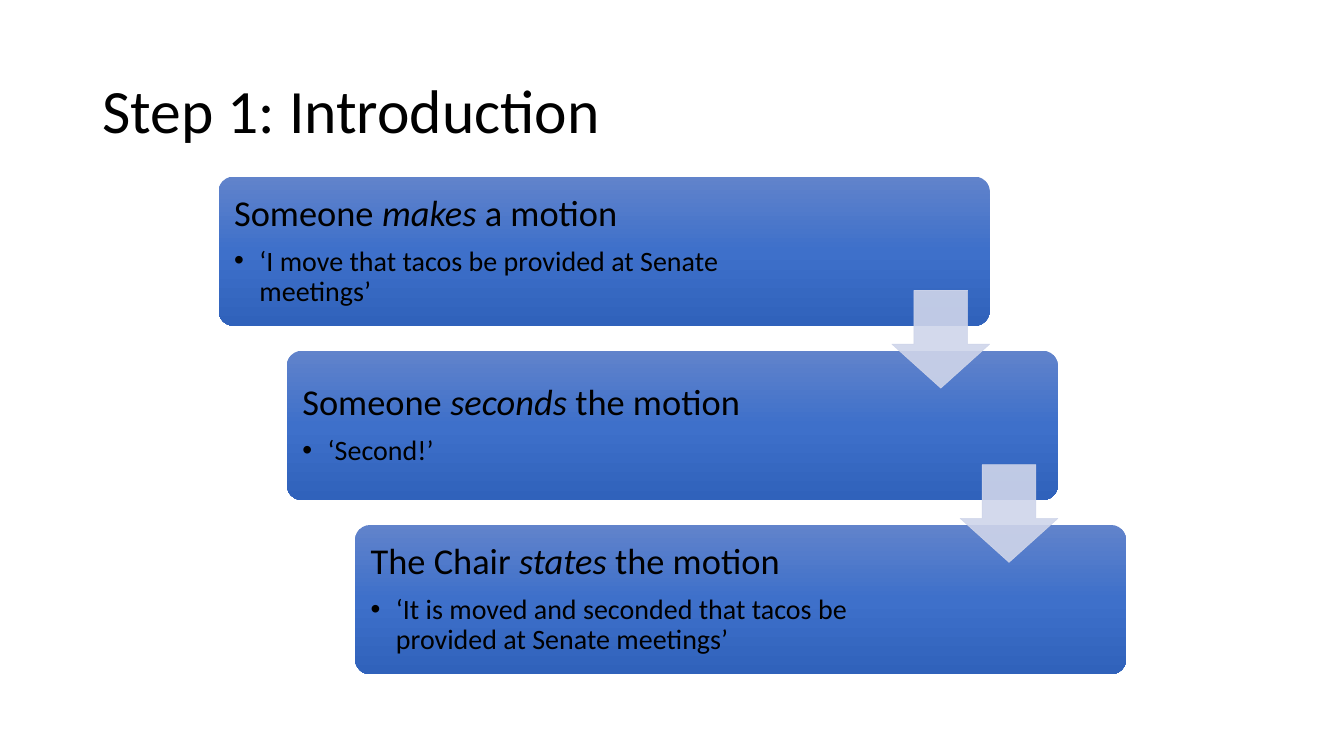
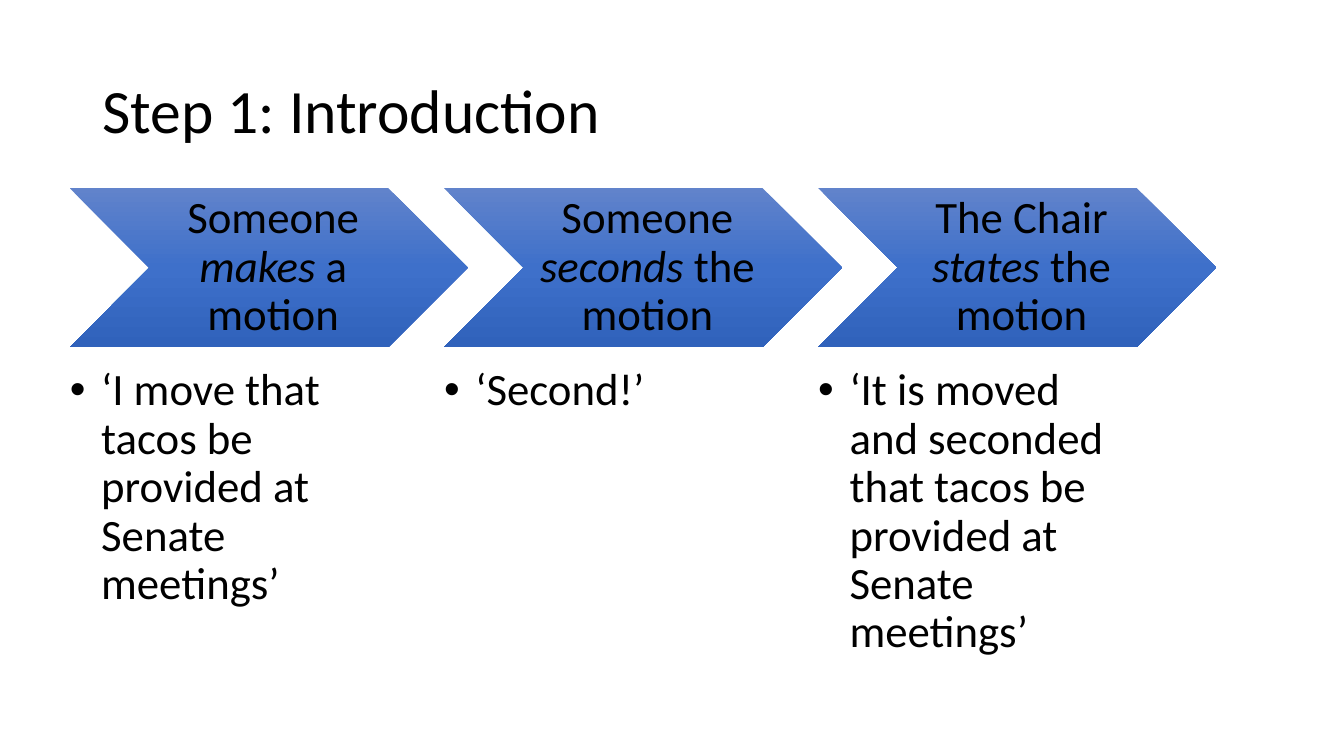
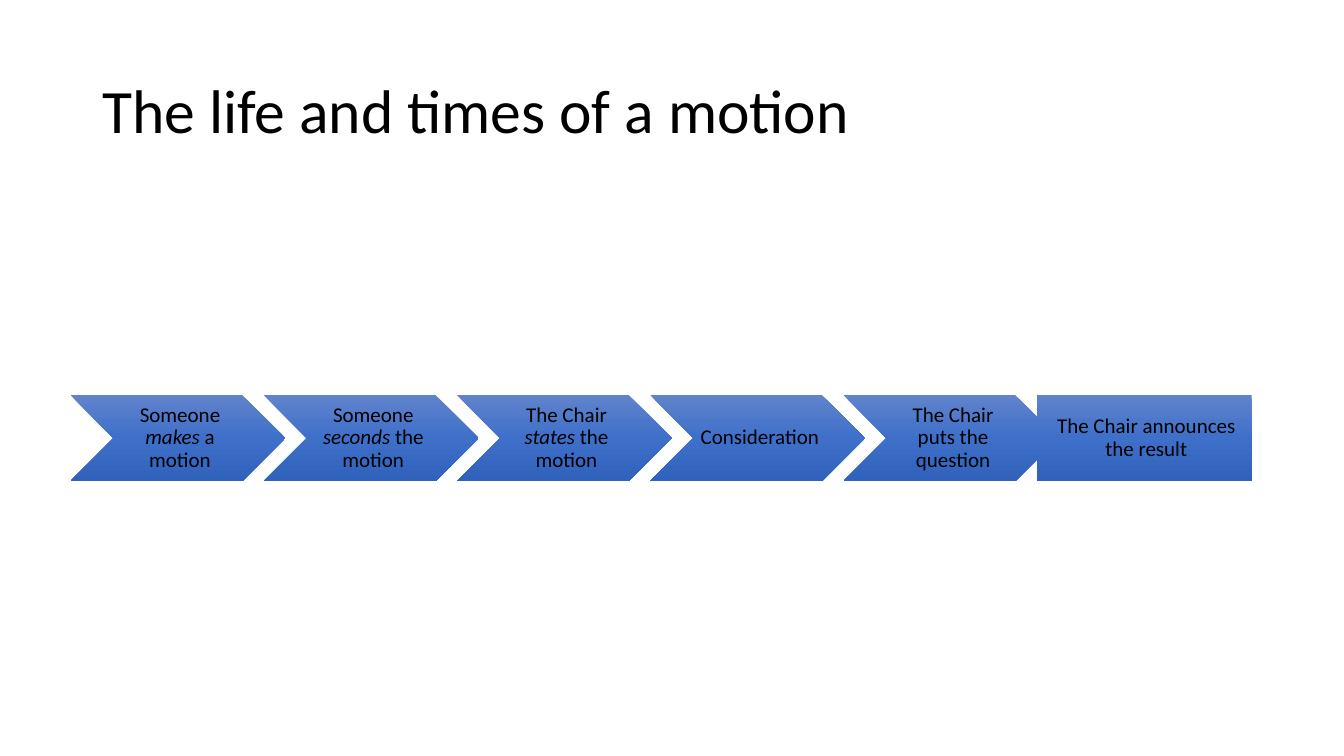
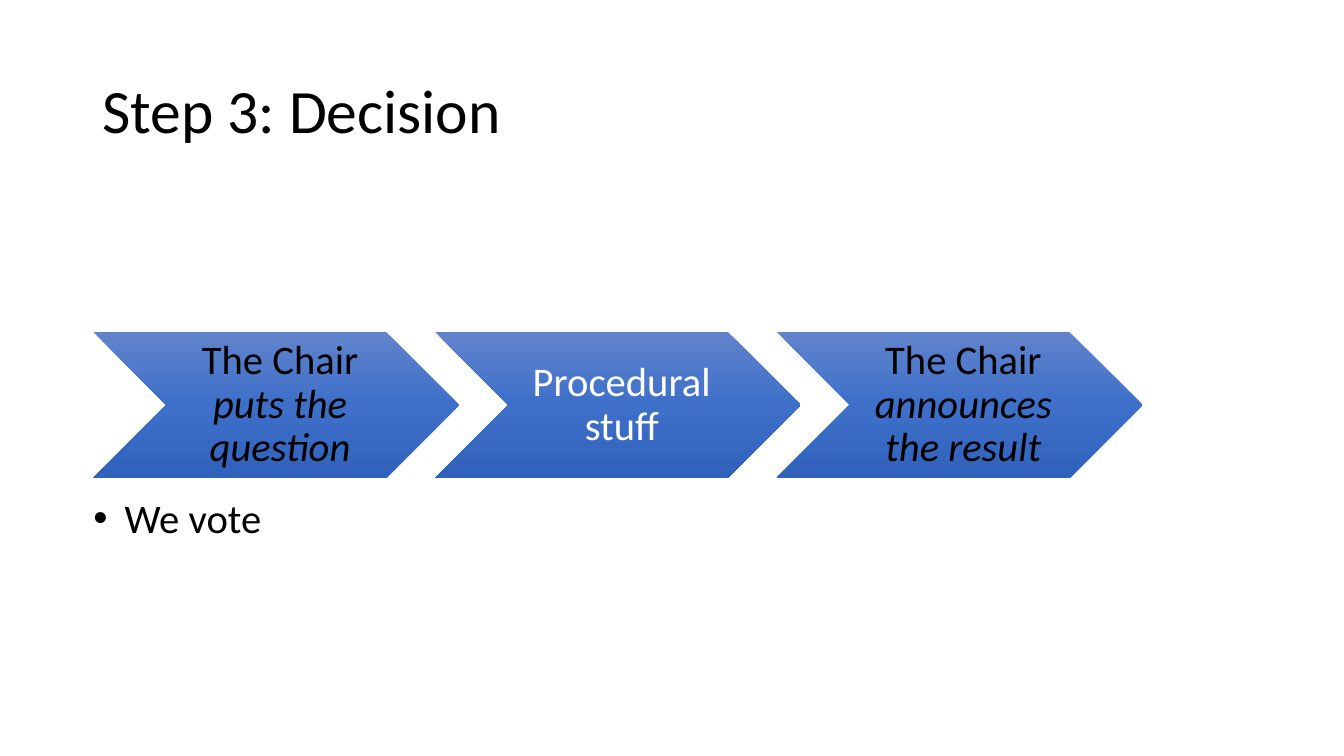
from copy import deepcopy

from lxml import etree
from pptx import Presentation
from pptx.dml.color import RGBColor
from pptx.enum import shapes, text
from pptx.oxml import ns
from pptx.util import Cm, Pt

BLACK = RGBColor(0x00, 0x00, 0x00)
WHITE = RGBColor(0xFF, 0xFF, 0xFF)
PALE_BLUE = RGBColor(0xCF, 0xD5, 0xEA)
GRADIENT = [
    (0, RGBColor(0x61, 0x83, 0xCB)),
    (0.5, RGBColor(0x3E, 0x70, 0xCA)),
    (1, RGBColor(0x30, 0x62, 0xBB)),
]
FONT = "Calibri"
SHAPE = shapes.MSO_SHAPE
LEFT, CENTER = text.PP_ALIGN.LEFT, text.PP_ALIGN.CENTER

INTRODUCTION = [
    ("Someone *makes* a motion",
     "‘I move that tacos be provided at Senate meetings’"),
    ("Someone *seconds* the motion", "‘Second!’"),
    ("The Chair *states* the motion",
     "‘It is moved and seconded that tacos be provided at Senate meetings’"),
]
LIFE_OF_MOTION = [heading for heading, _ in INTRODUCTION] + [
    "Consideration",
    "The Chair puts the question",
]
DECISION = [
    ("The Chair *puts the question*", "We vote"),
    ("Procedural stuff", None),
    ("The Chair *announces the result*", None),
]


def write(paragraph, words, size, color=BLACK, align=LEFT):
    """Fill a paragraph; words between asterisks become italic."""
    paragraph.line_spacing = 0.9
    paragraph.alignment = align
    for index, part in enumerate(words.split("*")):
        if part:
            run = paragraph.add_run()
            run.text = part
            run.font.name = FONT
            run.font.size = Pt(size)
            run.font.color.rgb = color
            run.font.italic = index % 2 == 1


def add_bullet(paragraph, indent):
    properties = paragraph._p.get_or_add_pPr()
    properties.set("marL", str(Cm(indent)))
    properties.set("indent", str(-Cm(indent)))
    etree.SubElement(properties, ns.qn("a:buFont")).set("typeface", "Arial")
    etree.SubElement(properties, ns.qn("a:buChar")).set("char", "•")


def set_frame(shape, insets, anchor=text.MSO_ANCHOR.MIDDLE):
    """Wrap the text; insets run left, top, right, bottom in cm."""
    frame = shape.text_frame
    frame.word_wrap = True
    frame.vertical_anchor = anchor
    (frame.margin_left, frame.margin_top,
     frame.margin_right, frame.margin_bottom) = map(Cm, insets)
    return frame


def add_shape(slide, kind, left, top, width, height):
    shape = slide.shapes.add_shape(
        kind, Cm(left), Cm(top), Cm(width), Cm(height))
    shape.shadow.inherit = False
    return shape


def add_gradient_shape(slide, kind, left, top, width, height):
    shape = add_shape(slide, kind, left, top, width, height)
    shape.line.fill.background()
    shape.fill.gradient()
    shape.fill.gradient_angle = 270
    stop_list = shape._element.spPr.find(".//" + ns.qn("a:gsLst"))
    stop_list.insert(1, deepcopy(stop_list[0]))
    for stop, (position, color) in zip(shape.fill.gradient_stops, GRADIENT):
        stop.position = position
        stop.color.rgb = color
    return shape


def add_step(slide, kind, left, top, width, height, words, size, color=BLACK):
    """Add a process step whose insets grow with its text size."""
    shape = add_gradient_shape(slide, kind, left, top, width, height)
    inset = 0.004 * size
    frame = set_frame(shape, (0.011 * size, inset, inset, inset))
    write(frame.paragraphs[0], words, size, color, CENTER)


def add_bullet_box(slide, left, top, width, height, words, size):
    box = slide.shapes.add_textbox(Cm(left), Cm(top), Cm(width), Cm(height))
    frame = set_frame(box, (0, 0, 0, 0), text.MSO_ANCHOR.TOP)
    write(frame.paragraphs[0], words, size)
    add_bullet(frame.paragraphs[0], 0.79)


def add_titled_slide(presentation, title):
    slide = presentation.slides.add_slide(presentation.slide_layouts[6])
    box = slide.shapes.add_textbox(Cm(2.33), Cm(1.01), Cm(29.21), Cm(3.68))
    frame = set_frame(box, (0.25, 0.13, 0.25, 0.13))
    write(frame.paragraphs[0], title, 44)
    return slide


def add_down_arrow(slide, left, top, size):
    arrow = add_shape(slide, SHAPE.DOWN_ARROW, left, top, size, size)
    arrow.adjustments[0], arrow.adjustments[1] = 0.55, 0.45
    arrow.fill.solid()
    arrow.fill.fore_color.rgb = PALE_BLUE
    arrow.line.color.rgb = PALE_BLUE
    arrow.line.width = Pt(0.5)
    for color in arrow._element.spPr.iter(ns.qn("a:srgbClr")):
        etree.SubElement(color, ns.qn("a:alpha")).set("val", "90000")


def add_staircase(slide, steps):
    left, top, width, height = 5.51, 4.45, 19.43, 3.76
    step_x, step_y, arrow_size = 1.72, 4.39, 2.46
    for index, (heading, quote) in enumerate(steps):
        box = add_gradient_shape(
            slide, SHAPE.ROUNDED_RECTANGLE,
            left + index * step_x, top + index * step_y, width, height)
        box.adjustments[0] = 0.1
        frame = set_frame(box, (0.28, 0.28, 4.4, 0.28))
        write(frame.paragraphs[0], heading, 26)
        frame.paragraphs[0].space_after = Pt(9)
        bullet = frame.add_paragraph()
        write(bullet, quote, 20)
        add_bullet(bullet, 0.64)
    for index in range(len(steps) - 1):
        add_down_arrow(slide, left + width - arrow_size + index * step_x,
                       top + 2.87 + index * step_y, arrow_size)


def add_chevrons(slide, steps, left, top, width, height, pitch, size,
                 bullet_height, white_steps=()):
    """Add a row of chevrons, each with an optional bullet below."""
    for index, (heading, bullet) in enumerate(steps):
        x = left + index * pitch
        color = WHITE if index in white_steps else BLACK
        add_step(slide, SHAPE.CHEVRON, x, top, width, height,
                 heading, size, color)
        if bullet:
            add_bullet_box(slide, x, top + height + 0.5, width - height / 2,
                           bullet_height, bullet, size)


def add_life_row(slide):
    left, top, width, height, pitch, size = 1.78, 9.96, 5.41, 2.16, 4.87, 15
    steps = [(heading, None) for heading in LIFE_OF_MOTION]
    add_chevrons(slide, steps, left, top, width, height, pitch, size, 0)
    add_step(slide, SHAPE.FLOWCHART_PROCESS, left + len(steps) * pitch, top,
             width, height, "The Chair announces the result", size)


def main():
    presentation = Presentation()
    presentation.slide_width = Cm(33.87)
    presentation.slide_height = Cm(19.05)

    slide = add_titled_slide(presentation, "Step 1: Introduction")
    add_staircase(slide, INTRODUCTION)

    slide = add_titled_slide(presentation, "Step 1: Introduction")
    add_chevrons(slide, INTRODUCTION, left=1.76, top=4.74, width=10.03,
                 height=4.01, pitch=9.43, size=32, bullet_height=7.5)

    slide = add_titled_slide(presentation, "The life and times of a motion")
    add_life_row(slide)

    slide = add_titled_slide(presentation, "Step 3: Decision")
    add_chevrons(slide, DECISION, left=2.35, top=8.36, width=9.22,
                 height=3.69, pitch=8.61, size=29, bullet_height=1.45,
                 white_steps=(1,))

    presentation.save("out.pptx")


if __name__ == "__main__":
    main()
